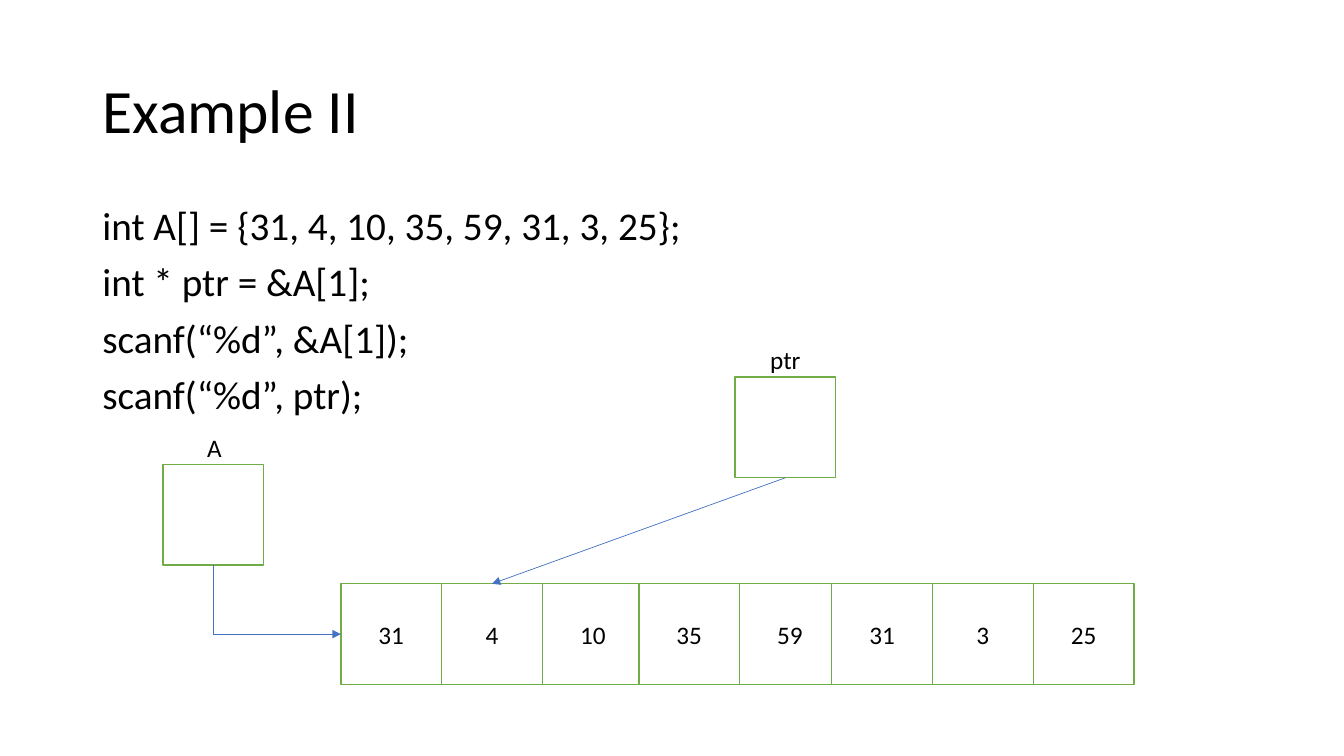
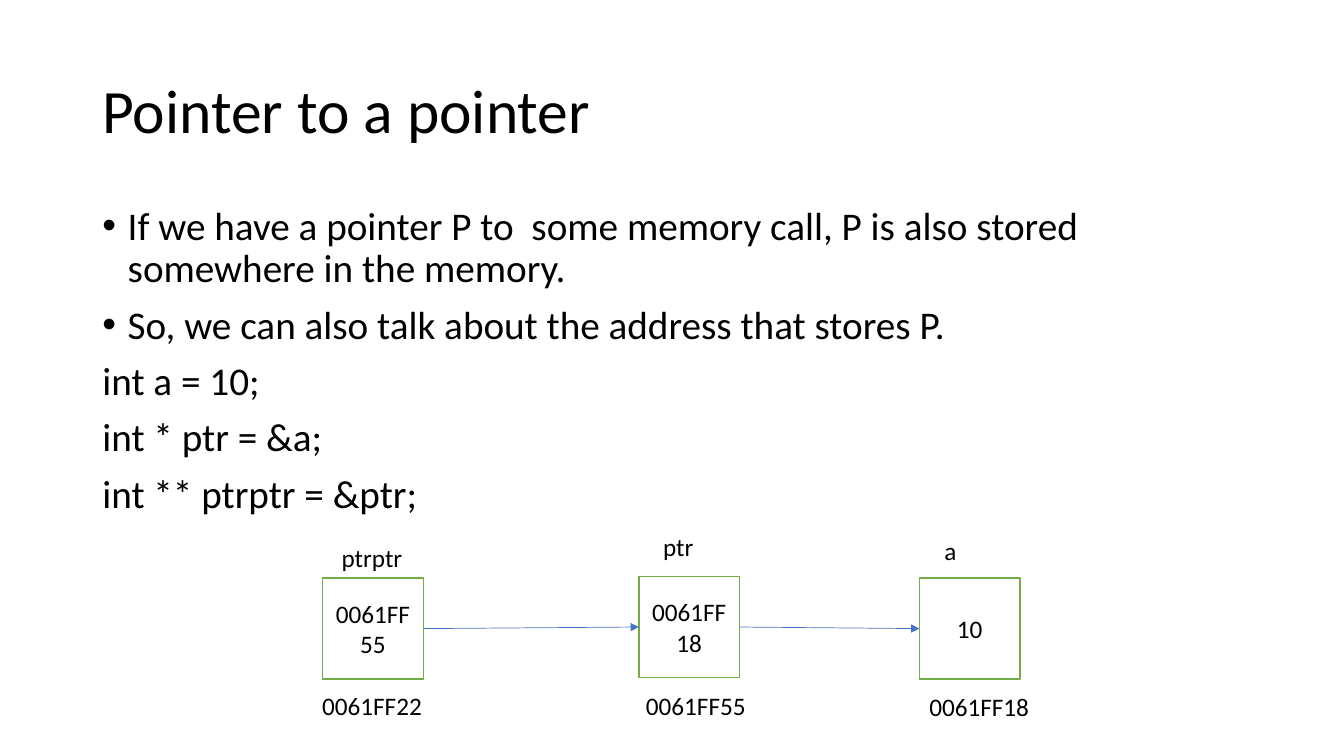
"""Build two slides on pointers in C."""
from pptx import Presentation
from pptx.dml.color import RGBColor
from pptx.enum.shapes import MSO_CONNECTOR, MSO_SHAPE
from pptx.enum.text import MSO_ANCHOR, PP_ALIGN
from pptx.oxml.ns import qn
from pptx.oxml.xmlchemy import OxmlElement
from pptx.util import Cm, Pt

COLORS = {"ink": "000000", "paper": "FFFFFF", "edge": "70AD47", "link": "4472C4"}
FONT = "Calibri"
SIDE = 2.54
TOP, LEFT, BOTTOM, RIGHT = range(4)
MIDDLE = MSO_ANCHOR.MIDDLE
CENTER = PP_ALIGN.CENTER
RECT = MSO_SHAPE.RECTANGLE
LINE = MSO_CONNECTOR.STRAIGHT
ELBOW = MSO_CONNECTOR.ELBOW


def color(name):
    return RGBColor.from_string(COLORS[name])


def add_tag(parent, tag, **attrs):
    node = OxmlElement(tag)
    for key, value in attrs.items():
        node.set(key, str(value))
    parent.append(node)


def write(frame, text, size=18, align=None, anchor=None, wrap=True,
          spacing=None, before=0, bullets=0):
    frame.word_wrap = wrap
    if anchor is not None:
        frame.vertical_anchor = anchor
    for index, line in enumerate(text.split("\n")):
        para = frame.paragraphs[0] if index == 0 else frame.add_paragraph()
        if align is not None:
            para.alignment = align
        if spacing:
            para.line_spacing = spacing
        para.space_before = Pt(before if index else 0)
        if index < bullets:
            props = para._p.get_or_add_pPr()
            props.set("marL", str(Cm(0.64)))
            props.set("indent", str(-Cm(0.64)))
            add_tag(props, "a:buFont", typeface="Arial")
            add_tag(props, "a:buChar", char="•")
        run = para.add_run()
        run.text = line
        run.font.name = FONT
        run.font.size = Pt(size)
        run.font.color.rgb = color("ink")


def add_text(slide, text, left, top, width, height=1.03, **style):
    area = slide.shapes.add_textbox(Cm(left), Cm(top), Cm(width), Cm(height))
    write(area.text_frame, text, **style)


def add_label(slide, text, left, top, width):
    add_text(slide, text, left, top, width, wrap=False)


def add_box(slide, left, top, text=""):
    box = slide.shapes.add_shape(RECT, Cm(left), Cm(top), Cm(SIDE), Cm(SIDE))
    box.shadow.inherit = False
    box.fill.solid()
    box.fill.fore_color.rgb = color("paper")
    box.line.color.rgb = color("edge")
    box.line.width = Pt(1)
    if text:
        write(box.text_frame, text, align=CENTER, anchor=MIDDLE)
    return box


def add_arrow(slide, start, out, end, into, kind=LINE):
    arrow = slide.shapes.add_connector(kind, 0, 0, 0, 0)
    arrow.begin_connect(start, out)
    arrow.end_connect(end, into)
    arrow.line.color.rgb = color("link")
    arrow.line.width = Pt(0.5)
    add_tag(arrow.line._get_or_add_ln(), "a:tailEnd", type="triangle")
    add_tag(arrow._element.spPr, "a:effectLst")
    if kind == ELBOW:
        bend(arrow)


def bend(arrow):
    wide, high = arrow.width, arrow.height
    shift = (wide - high) // 2
    arrow.left, arrow.top = arrow.left + shift, arrow.top - shift
    arrow.width, arrow.height = high, wide
    props = arrow._element.spPr
    props.find(qn("a:prstGeom")).set("prst", "bentConnector2")
    frame = props.find(qn("a:xfrm"))
    frame.set("rot", str(270 * 60000))
    frame.set("flipH", "1")


def add_page(deck, title, body, bullets=0):
    slide = deck.slides.add_slide(deck.slide_layouts[6])
    add_text(slide, title, 2.33, 1.01, 29.21, 3.68, size=44,
             anchor=MIDDLE, spacing=0.9)
    add_text(slide, body, 2.33, 5.08, 29.21, 12.09, size=28,
             spacing=0.9, before=10, bullets=bullets)
    return slide


def build_array(deck):
    slide = add_page(deck, "Example II", (
        "int A[] = {31, 4, 10, 35, 59, 31, 3, 25};\n"
        "int * ptr = &A[1];\n"
        "scanf(“%d”, &A[1]);\n"
        "scanf(“%d”, ptr);"))
    base = add_box(slide, 4.11, 11.7)
    values = (31, 4, 10, 35, 59, 31, 3, 25)
    lefts = (8.59, 11.13, 13.67, 16.1, 18.64, 20.96, 23.5, 26.04)
    cells = [add_box(slide, left, 14.71, str(value))
             for left, value in zip(lefts, values)]
    add_label(slide, "A", 4.97, 10.78, 0.9)
    add_arrow(slide, base, BOTTOM, cells[0], LEFT, ELBOW)
    ptr = add_box(slide, 18.52, 9.5)
    add_label(slide, "ptr", 19.16, 8.54, 1.3)
    add_arrow(slide, ptr, BOTTOM, cells[1], TOP)


def build_chain(deck):
    slide = add_page(deck, "Pointer to a pointer", (
        "If we have a pointer P to  some memory call, P is also stored "
        "somewhere in the memory.\n"
        "So, we can also talk about the address that stores P.\n"
        "int a = 10;\n"
        "int * ptr = &a;\n"
        "int ** ptrptr = &ptr;"), bullets=2)
    nodes = (
        ((8.13, 14.57, "0061FF55"), ("ptrptr", 8.36, 13.54, 2.07),
         ("0061FF22", 7.87, 17.28, 3.05)),
        ((16.1, 14.53, "0061FF18"), ("ptr", 16.46, 13.26, 1.3),
         ("0061FF55", 16.03, 17.28, 3.05)),
        ((23.17, 14.57, "10"), ("a", 23.55, 13.36, 0.8),
         ("0061FF18", 23.17, 17.3, 3.05)),
    )
    boxes = []
    for cell, name, address in nodes:
        boxes.append(add_box(slide, *cell))
        add_label(slide, *name)
        add_label(slide, *address)
    for start, end in zip(boxes, boxes[1:]):
        add_arrow(slide, start, RIGHT, end, LEFT)


def main():
    deck = Presentation()
    deck.slide_width, deck.slide_height = Cm(33.87), Cm(19.05)
    build_array(deck)
    build_chain(deck)
    deck.save("out.pptx")


if __name__ == "__main__":
    main()
